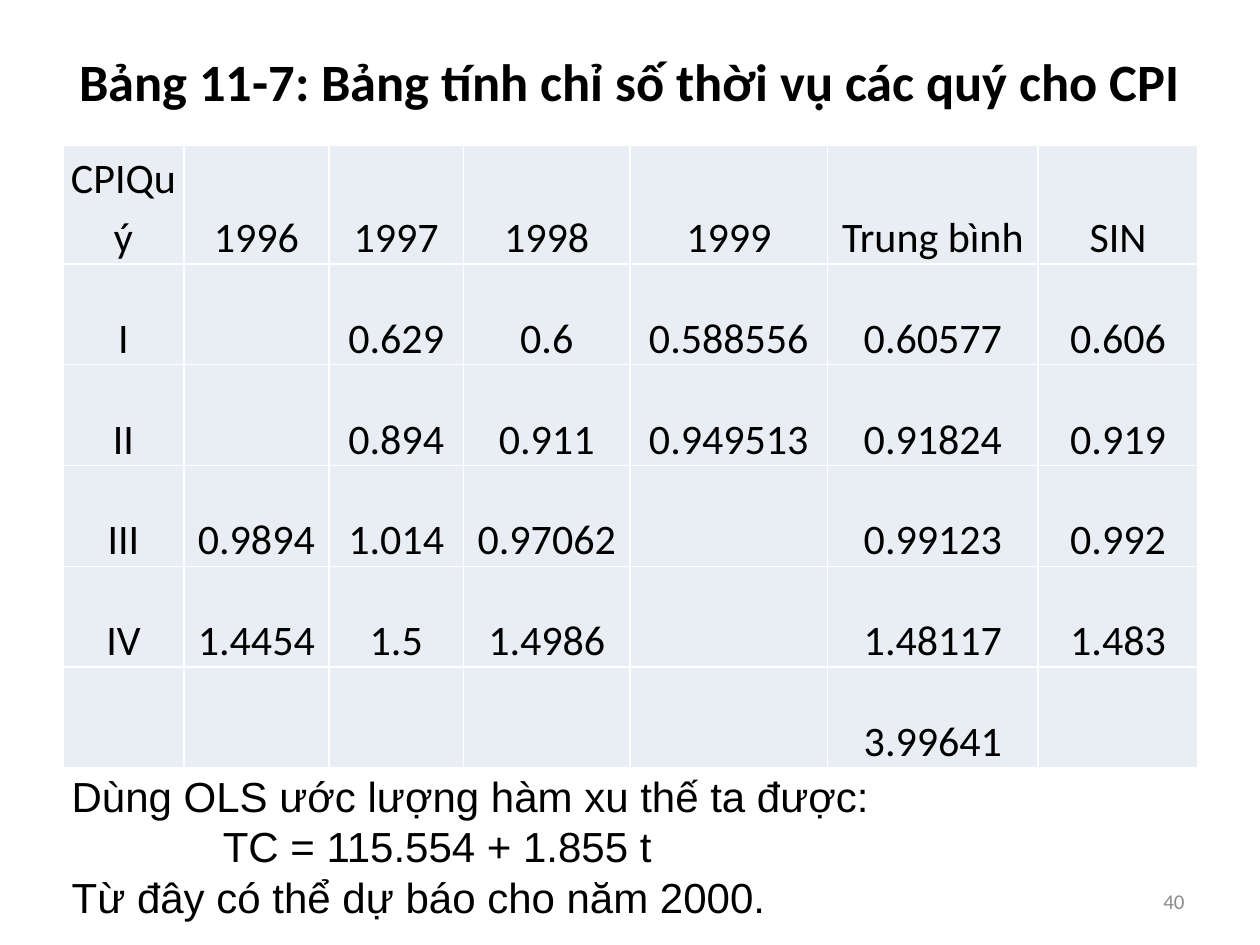
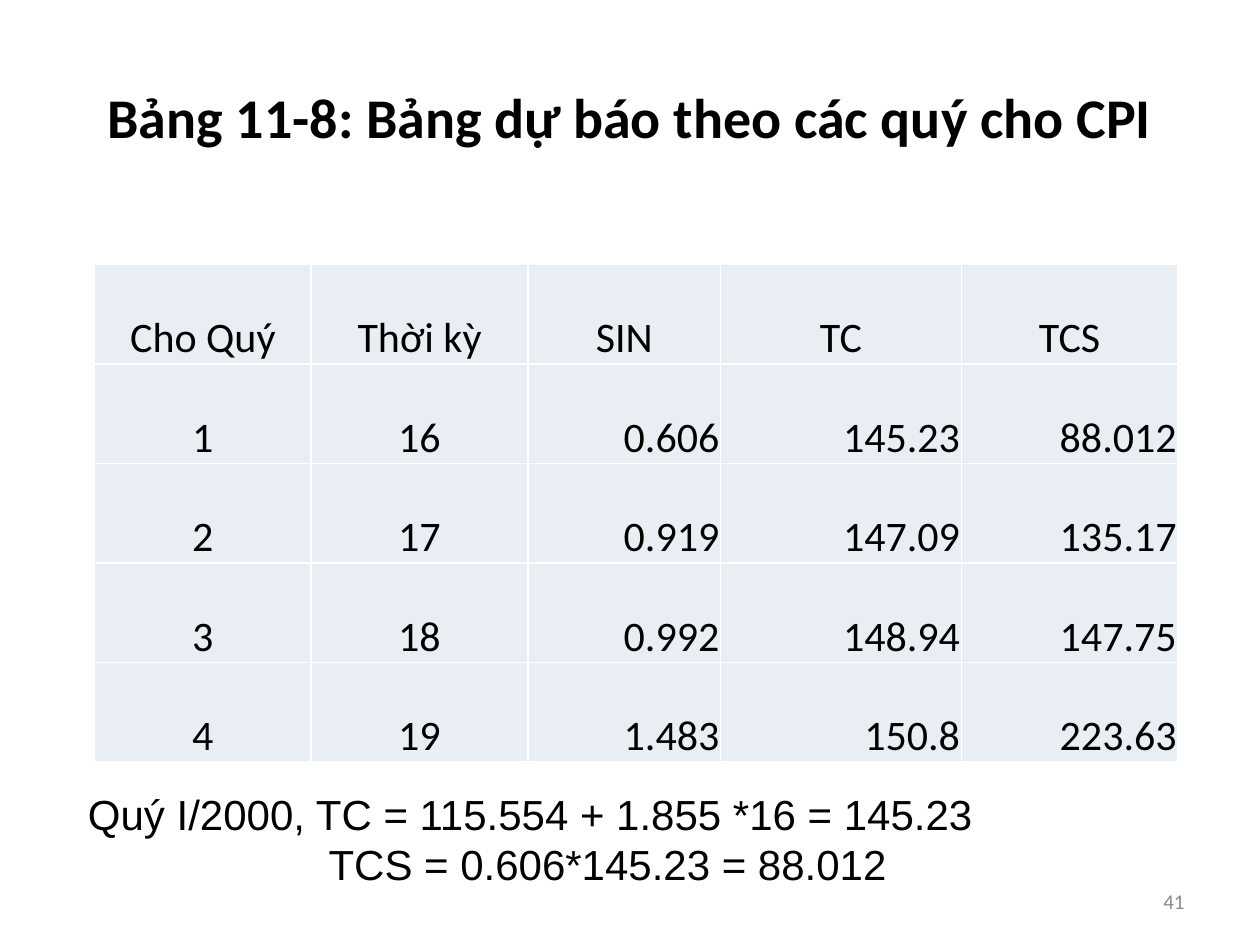
from pptx import Presentation
from pptx.dml.color import RGBColor
from pptx.enum.text import MSO_ANCHOR, MSO_AUTO_SIZE, PP_ALIGN
from pptx.util import Inches, Pt

CENTER, RIGHT, JUSTIFY = PP_ALIGN.CENTER, PP_ALIGN.RIGHT, PP_ALIGN.JUSTIFY
MIDDLE, BOTTOM = MSO_ANCHOR.MIDDLE, MSO_ANCHOR.BOTTOM
NO_FIT = MSO_AUTO_SIZE.NONE

COLORS = {"text": "000000", "number": "8C8C8C", "cell": "E9EDF4"}
TITLE_ONLY = 5

PAGES = [
    {
        "title": "Bảng 11-7: Bảng tính chỉ số thời vụ các quý cho CPI",
        "title_size": 30,
        "title_at": (0.5, 0.05, 9, 1.18),
        "table_at": (0.5, 1.15),
        "columns": [0.96, 1.15, 1.07, 1.32, 1.57, 1.67, 1.27],
        "heights": [0.88] + [0.8] * 5,
        "right_from": None,
        "rows": [
            ["CPIQuý", "1996", "1997", "1998", "1999", "Trung bình", "SIN"],
            ["I", "", "0.629", "0.6", "0.588556", "0.60577", "0.606"],
            ["II", "", "0.894", "0.911", "0.949513", "0.91824", "0.919"],
            ["III", "0.9894", "1.014", "0.97062", "", "0.99123", "0.992"],
            ["IV", "1.4454", "1.5", "1.4986", "", "1.48117", "1.483"],
            ["", "", "", "", "", "3.99641", ""],
        ],
        "notes_at": (0.47, 6.06, 8.62, 1.31),
        "notes": [
            ("Dùng OLS ước lượng hàm xu thế ta được:", 0),
            ("TC = 115.554 + 1.855 t", 1.2),
            ("Từ đây có thể dự báo cho năm 2000.", 0),
        ],
        "number": "40",
    },
    {
        "title": "Bảng 11-8: Bảng dự báo theo các quý cho CPI",
        "title_size": 32,
        "title_at": (0.5, 0.3, 9, 1.25),
        "table_at": (0.75, 2.1),
        "columns": [1.72, 1.72, 1.53, 1.91, 1.72],
        "heights": [0.79] * 5,
        "right_from": 2,
        "rows": [
            ["Cho Quý", "Thời kỳ", "SIN", "TC", "TCS"],
            ["1", "16", "0.606", "145.23", "88.012"],
            ["2", "17", "0.919", "147.09", "135.17"],
            ["3", "18", "0.992", "148.94", "147.75"],
            ["4", "19", "1.483", "150.8", "223.63"],
        ],
        "notes_at": (0.51, 6.2, 8.5, 0.91),
        "notes": [
            ("Quý I/2000, TC = 115.554 + 1.855 *16 = 145.23", 0.09),
            ("TCS = 0.606*145.23 = 88.012", 2),
        ],
        "number": "41",
    },
]


def write(para, text, size=24, font="Calibri", color="text", bold=False,
          align=CENTER, spacing=None, indent=0):
    """Add one formatted run; indent is the left margin in inches."""
    para.alignment = align
    if spacing:
        para.line_spacing = spacing
    if indent:
        para._p.get_or_add_pPr().set("marL", str(Inches(indent)))
    span = para.add_run()
    span.text = text
    span.font.size = Pt(size)
    span.font.name = font
    span.font.bold = bold
    span.font.color.rgb = RGBColor.from_string(COLORS[color])


def place_frame(box, at):
    """Position a text shape and return its wrapped, vertically centred frame."""
    box.left, box.top, box.width, box.height = map(Inches, at)
    frame = box.text_frame
    frame.auto_size = NO_FIT
    frame.word_wrap = True
    frame.vertical_anchor = MIDDLE
    return frame


deck = Presentation()
deck.slide_width, deck.slide_height = Inches(10), Inches(7.5)

for content in PAGES:
    page = deck.slides.add_slide(deck.slide_layouts[TITLE_ONLY])
    title = place_frame(page.shapes.title, content["title_at"])
    write(title.paragraphs[0], content["title"], size=content["title_size"], bold=True)

    rows, columns, heights = content["rows"], content["columns"], content["heights"]
    left, top = content["table_at"]
    table = page.shapes.add_table(
        len(rows), len(columns), Inches(left), Inches(top),
        Inches(sum(columns)), Inches(sum(heights))).table
    table.first_row = False
    table.horz_banding = False
    for column, width in zip(table.columns, columns):
        column.width = Inches(width)
    for row, height in zip(table.rows, heights):
        row.height = Inches(height)

    right_from = content["right_from"]
    for row_index, values in enumerate(rows):
        for column_index, value in enumerate(values):
            cell = table.cell(row_index, column_index)
            cell.fill.solid()
            cell.fill.fore_color.rgb = RGBColor.from_string(COLORS["cell"])
            cell.vertical_anchor = BOTTOM
            cell.margin_left = cell.margin_right = cell.margin_top = Inches(0.01)
            cell.margin_bottom = 0
            is_right = right_from is not None and row_index > 0 and column_index >= right_from
            if value:
                write(cell.text_frame.paragraphs[0], value, spacing=1.15,
                      align=RIGHT if is_right else CENTER)

    notes = place_frame(page.shapes.add_textbox(0, 0, 0, 0), content["notes_at"])
    for index, (text, indent) in enumerate(content["notes"]):
        para = notes.add_paragraph() if index else notes.paragraphs[0]
        write(para, text, font="Arial", align=JUSTIFY, indent=indent)

    number = place_frame(page.shapes.add_textbox(0, 0, 0, 0), (7.17, 6.95, 2.33, 0.4))
    write(number.paragraphs[0], content["number"], size=12, color="number", align=RIGHT)

deck.save("out.pptx")
